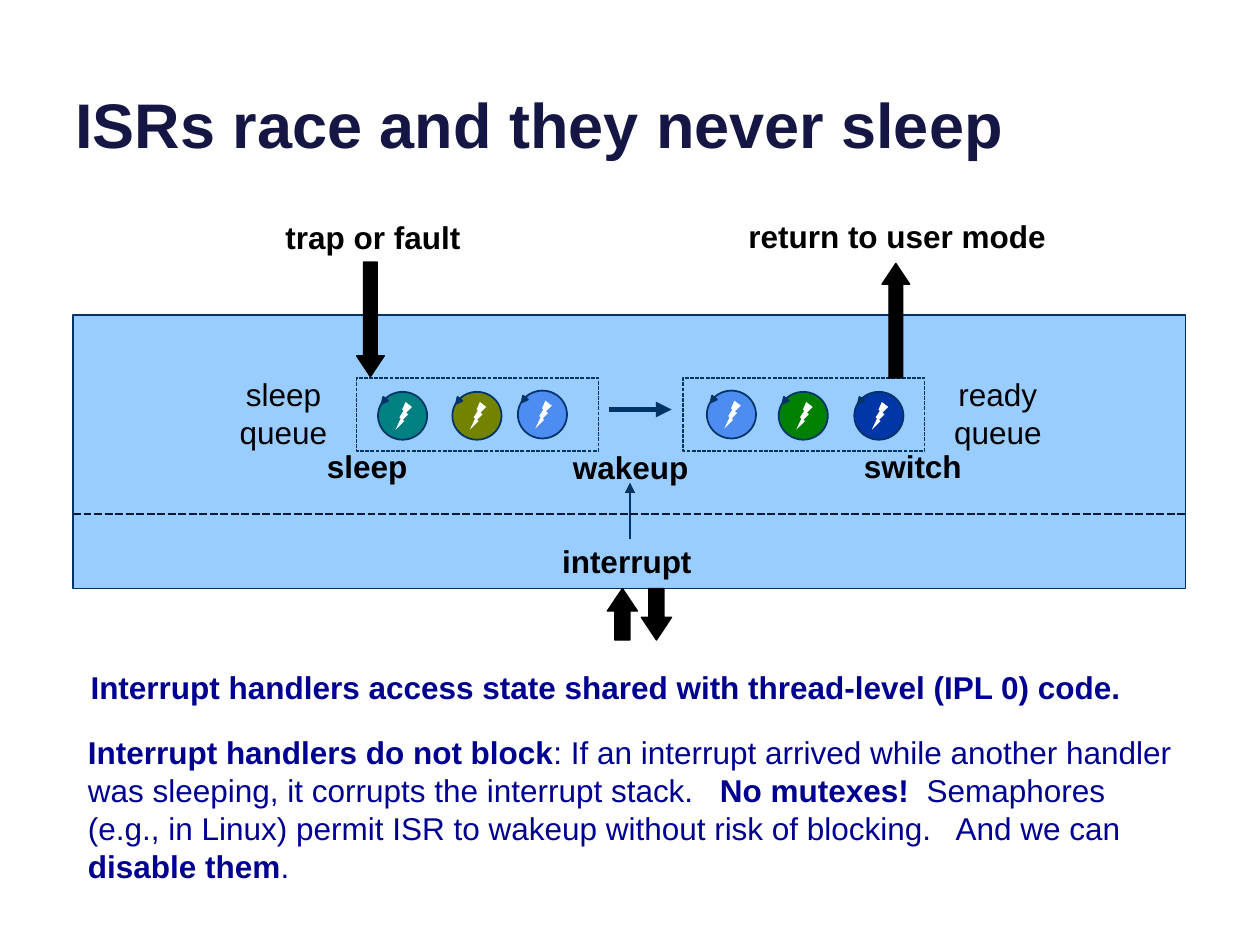
from pptx import Presentation
from pptx.util import Inches, Pt
from pptx.dml.color import RGBColor
from pptx.enum import dml, shapes, text
from pptx.oxml.ns import qn
from lxml import etree

MSO = shapes.MSO_SHAPE
NAVY, BLACK, INK = "003367", "000000", "000090"

prs = Presentation()
prs.slide_width, prs.slide_height = Inches(10), Inches(7.5)
s = prs.slides.add_slide(prs.slide_layouts[6])


def rgb(value):
    return RGBColor.from_string(value)


def add_shape(kind, x, y, w, h, fill=None, line=None, width=1):
    """Add a shadowless preset shape; None means no fill or no line."""
    sp = s.shapes.add_shape(kind, Inches(x), Inches(y), Inches(w), Inches(h))
    sp.shadow.inherit = False
    if fill:
        sp.fill.solid()
        sp.fill.fore_color.rgb = rgb(fill)
    else:
        sp.fill.background()
    if line:
        sp.line.color.rgb = rgb(line)
        sp.line.width = Pt(width)
    else:
        sp.line.fill.background()
    return sp


# Kernel area
add_shape(MSO.FLOWCHART_PROCESS, 0.58, 2.5, 8.83, 2.17, "99CCFF", NAVY)

# Threads waiting in the two queues
threads = [
    (4.11, 3.1, "4D8CF1"), (3.59, 3.11, "738300"), (3, 3.11, "008080"),
    (5.61, 3.1, "4D8CF1"), (6.18, 3.11, "008000"), (6.78, 3.11, "0036A6"),
]
for x, y, color in threads:
    add_shape(MSO.OVAL, x, y, 0.39, 0.38, color, NAVY)
    bolt = add_shape(MSO.LIGHTNING_BOLT, x + 0.14, y + 0.08, 0.13, 0.22, "FFFFFF")
    bolt._element.spPr.find(qn("a:xfrm")).set("flipH", "1")
    tip = add_shape(MSO.ISOSCELES_TRIANGLE, x + 0.02, y + 0.05, 0.05, 0.05, NAVY, NAVY)
    tip.rotation = 219

for x in (2.83, 5.42):
    queue = add_shape(MSO.RECTANGLE, x, 3, 1.92, 0.58, None, NAVY, 0.75)
    queue.line.dash_style = dml.MSO_LINE.SQUARE_DOT

# Entry and exit arrows
block_arrows = [
    (MSO.DOWN_ARROW, 2.83, 2.08, 0.22, 0.91),
    (MSO.UP_ARROW, 7, 2.09, 0.22, 0.91),
    (MSO.UP_ARROW, 4.82, 4.67, 0.24, 0.41),
    (MSO.DOWN_ARROW, 5.09, 4.67, 0.24, 0.41),
]
for kind, x, y, w, h in block_arrows:
    sp = add_shape(kind, x, y, w, h, BLACK, BLACK, 0.75)
    sp.adjustments[1] = 0.75

# Wakeup arrow, interrupt arrow and interrupt level divider
lines = [
    (4.83, 3.25, 5.33, 3.25, NAVY, 3, True),
    (5, 4.28, 5, 3.83, NAVY, 1, True),
    (0.58, 4.08, 9.42, 4.08, "001934", 1.5, False),
]
for x1, y1, x2, y2, color, width, is_arrow in lines:
    cx = s.shapes.add_connector(shapes.MSO_CONNECTOR.STRAIGHT, Inches(x1), Inches(y1),
                                Inches(x2), Inches(y2))
    cx.line.color.rgb = rgb(color)
    cx.line.width = Pt(width)
    if is_arrow:
        etree.SubElement(cx.line._get_or_add_ln(), qn("a:tailEnd"), type="triangle")
    else:
        cx.line.dash_style = dml.MSO_LINE.SQUARE_DOT
    etree.SubElement(cx._element.spPr, qn("a:effectLst"))

# Text: position, size, alignment, anchor, font size, colour, (text, bold) runs
LEFT, CENTER = text.PP_ALIGN.LEFT, text.PP_ALIGN.CENTER
TOP, MIDDLE, BOTTOM = text.MSO_ANCHOR.TOP, text.MSO_ANCHOR.MIDDLE, text.MSO_ANCHOR.BOTTOM
labels = [
    (1.67, 1.68, 2.58, 0.41, TOP, "trap or fault", True),
    (5.83, 1.67, 2.58, 0.41, TOP, "return to user mode", True),
    (4.08, 4.25, 1.86, 0.41, TOP, "interrupt ", True),
    (1.83, 3.5, 2.17, 0.4, MIDDLE, "sleep", True),
    (3.92, 3.51, 2.17, 0.4, MIDDLE, "wakeup", True),
    (6.58, 3.5, 1.33, 0.4, MIDDLE, "switch", True),
    (1.75, 2.92, 1, 0.71, MIDDLE, "sleep queue", False),
    (7.42, 2.92, 1, 0.71, MIDDLE, "ready queue", False),
]
boxes = [(x, y, w, h, CENTER, anchor, 18, BLACK, [(label, bold)])
         for x, y, w, h, anchor, label, bold in labels]
boxes += [
    (0.5, -0.37, 9, 1.7, LEFT, BOTTOM, 36, "161645",
     [("ISRs race and they never sleep", True)]),
    (0.62, 5.25, 8.62, 0.4, LEFT, TOP, 18, INK,
     [("Interrupt handlers access state shared with thread-level (IPL 0) code.", True)]),
    (0.6, 5.77, 8.83, 1.31, LEFT, TOP, 18, INK, [
        ("Interrupt handlers do not block", True),
        (": If an interrupt arrived while another handler was sleeping, "
         "it corrupts the interrupt stack.   ", False),
        ("No mutexes!  ", True),
        ("Semaphores (e.g., in Linux) permit ISR to wakeup without risk of blocking.   "
         "And we can ", False),
        ("disable them", True),
        (".", False),
    ]),
]
for x, y, w, h, align, anchor, size, color, runs in boxes:
    tf = s.shapes.add_textbox(Inches(x), Inches(y), Inches(w), Inches(h)).text_frame
    tf.word_wrap = True
    tf.vertical_anchor = anchor
    p = tf.paragraphs[0]
    p.alignment = align
    for words, bold in runs:
        r = p.add_run()
        r.text = words
        r.font.name = "Arial"
        r.font.size = Pt(size)
        r.font.bold = bold
        r.font.color.rgb = rgb(color)

prs.save("out.pptx")
